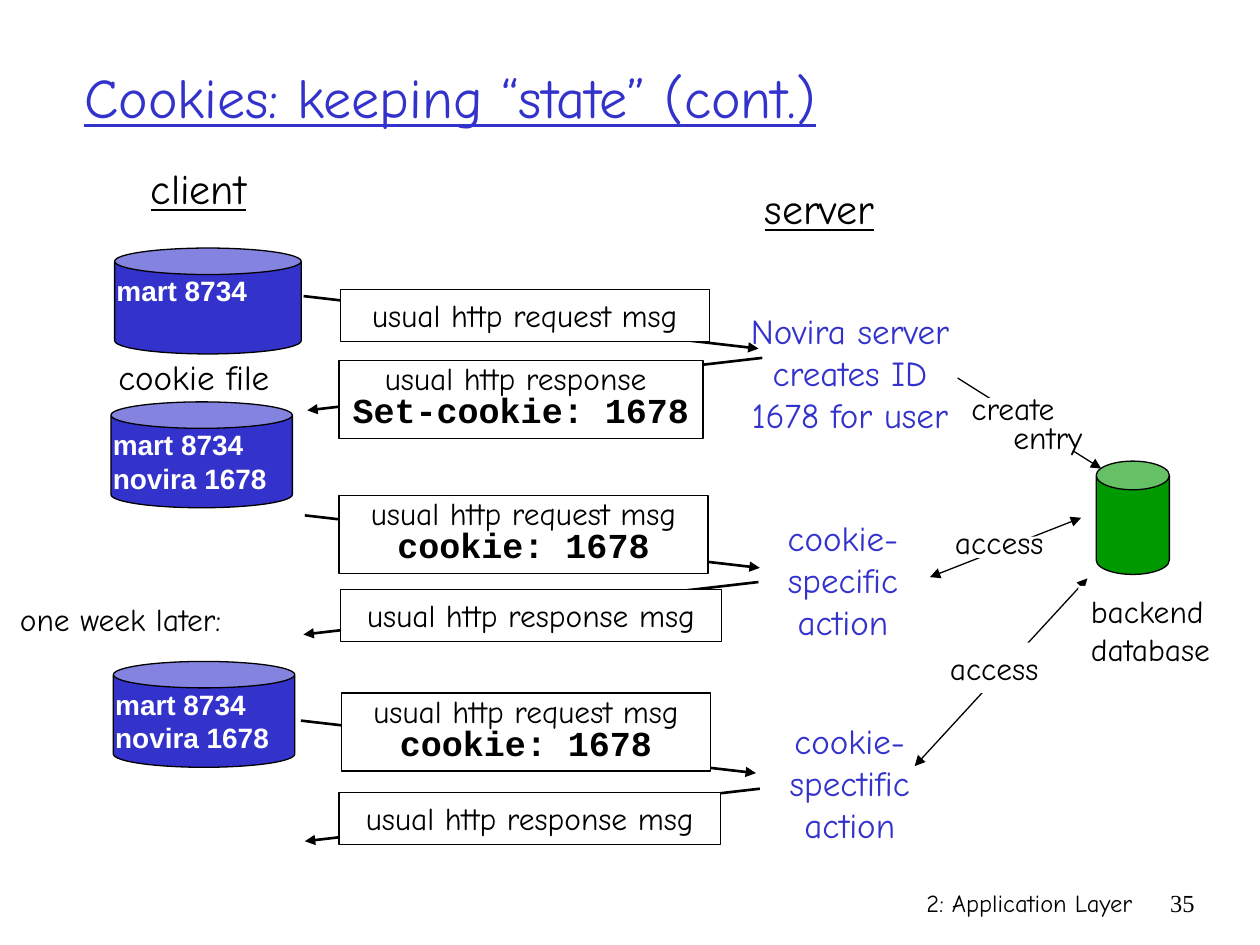
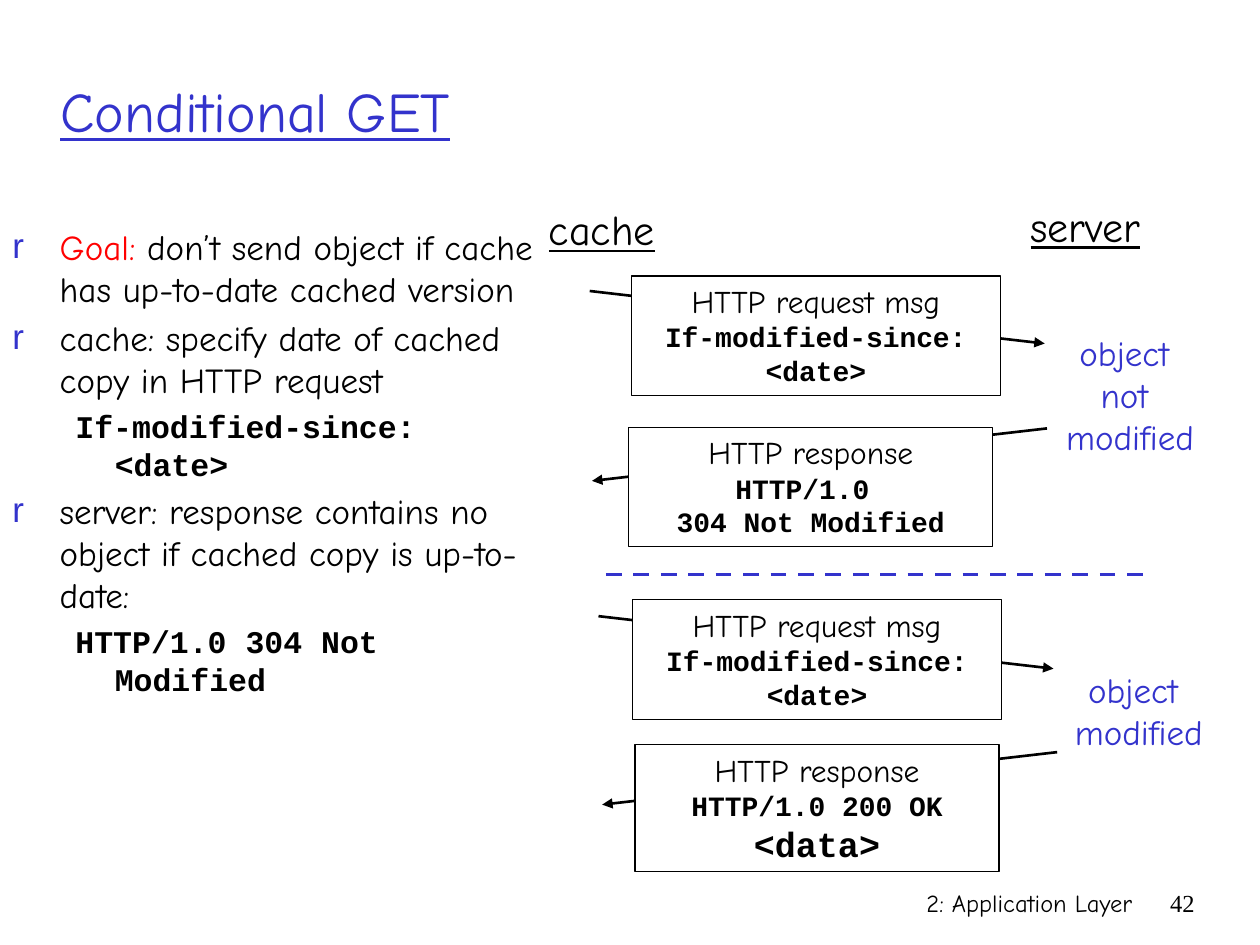
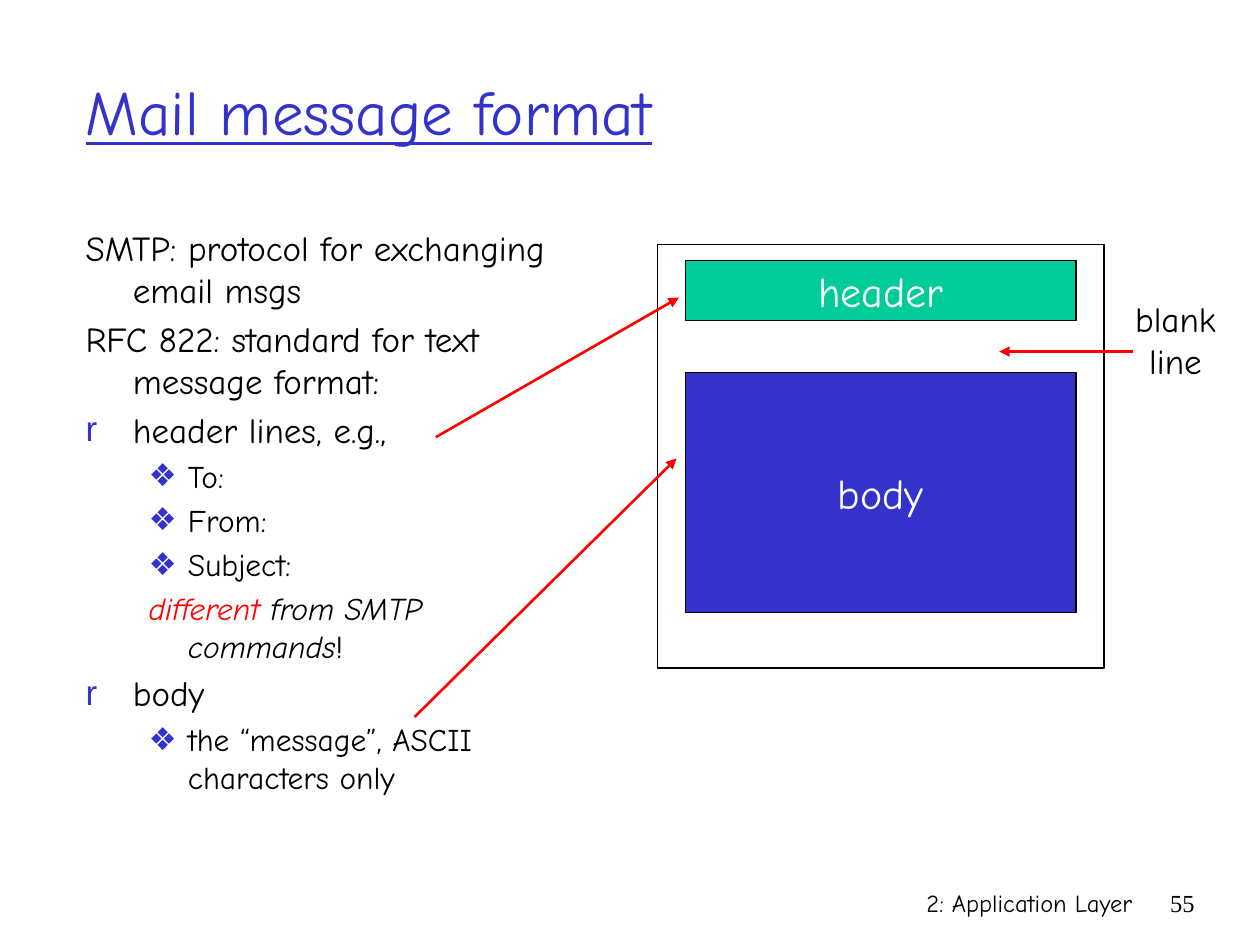
from lxml import etree
from pptx import Presentation
from pptx import util as u
from pptx.dml.color import RGBColor
from pptx.enum import dml, shapes, text
from pptx.oxml.ns import qn

BLUE = RGBColor(0x33, 0x33, 0xCC)
BLACK = RGBColor(0x00, 0x00, 0x00)
WHITE = RGBColor(0xFF, 0xFF, 0xFF)
RED = RGBColor(0xFF, 0x00, 0x00)
GREEN = RGBColor(0x00, 0x99, 0x00)
TEAL = RGBColor(0x00, 0xCC, 0x99)

RECT = shapes.MSO_SHAPE.RECTANGLE
CAN = shapes.MSO_SHAPE.CAN
LEFT, CENTER, RIGHT = text.PP_ALIGN.LEFT, text.PP_ALIGN.CENTER, text.PP_ALIGN.RIGHT
TOP, MIDDLE = text.MSO_ANCHOR.TOP, text.MSO_ANCHOR.MIDDLE

DEFAULTS = dict(size=18, font="Comic Neue", color=BLACK, bold=False, italic=False,
                underline=False, align=LEFT, spacing=None, before=0, indent=None, bullet=None)
CODE = dict(font="Courier New", bold=True)
POINT = dict(indent=(27, -27), before=4, size=20)
SUBPOINT = dict(indent=(58.5, -22.5), before=3.6, size=18)
BULLET = dict(POINT, bullet="r")
SUBBULLET = dict(SUBPOINT, bullet="❖")
MESSAGE = dict(kind=RECT, fill=WHITE, border=BLACK, align=CENTER)
ACTION = dict(size=20, color=BLUE, align=CENTER)
HEADING = dict(size=24, underline=True, align=CENTER)
REACH, DROP = 260, 30


def write(slide, paragraphs, box, kind=None, fill=None, border=None, weight=0.75,
          anchor=TOP, adjust=None, **style):
    box = [u.Pt(length) for length in box]
    if kind is None:
        part = slide.shapes.add_textbox(*box)
    else:
        part = slide.shapes.add_shape(kind, *box)
        part.shadow.inherit = False
        if adjust:
            part.adjustments[0] = adjust
    if fill is None:
        part.fill.background()
    else:
        part.fill.solid()
        part.fill.fore_color.rgb = fill
    if border is None:
        part.line.fill.background()
    else:
        part.line.color.rgb = border
        part.line.width = u.Pt(weight)
    frame = part.text_frame
    frame.word_wrap = True
    frame.vertical_anchor = anchor
    for i, runs in enumerate(paragraphs):
        runs = [(runs, {})] if isinstance(runs, str) else runs
        paragraph = frame.add_paragraph() if i else frame.paragraphs[0]
        look = {**DEFAULTS, **style, **runs[0][1]}
        paragraph.alignment = look["align"]
        paragraph.space_before = u.Pt(look["before"] if i else 0)
        if look["spacing"]:
            paragraph.line_spacing = look["spacing"]
        properties = paragraph._p.get_or_add_pPr()
        if look["indent"]:
            for name, length in zip(("marL", "indent"), look["indent"]):
                properties.set(name, str(u.Pt(length)))
        if look["bullet"]:
            bullet_color = etree.SubElement(properties, qn("a:buClr"))
            etree.SubElement(bullet_color, qn("a:srgbClr"), val=str(BLUE))
            etree.SubElement(properties, qn("a:buFont"), typeface="Arial")
            etree.SubElement(properties, qn("a:buChar"), char=look["bullet"])
        for words, changes in runs:
            look = {**DEFAULTS, **style, **changes}
            run = paragraph.add_run()
            run.text = words
            run.font.name = look["font"]
            run.font.size = u.Pt(look["size"])
            run.font.bold = look["bold"]
            run.font.italic = look["italic"]
            run.font.underline = look["underline"]
            run.font.color.rgb = look["color"]


def connect(slide, start, end, color=BLACK, weight=1.5, dash=None, heads=("tailEnd",)):
    ends = [u.Pt(length) for length in (*start, *end)]
    link = slide.shapes.add_connector(shapes.MSO_CONNECTOR.STRAIGHT, *ends)
    link.line.color.rgb = color
    link.line.width = u.Pt(weight)
    if dash:
        link.line.dash_style = dash
    properties = link.element.spPr
    for head in heads:
        etree.SubElement(properties.find(qn("a:ln")), qn("a:" + head), type="triangle")
    etree.SubElement(properties, qn("a:effectLst"))


deck = Presentation()
deck.slide_width, deck.slide_height = u.Pt(720), u.Pt(540)

titles = [
    ("Cookies: keeping “state” (cont.)", "35", (41, 10, 612, 90), 32),
    ("Conditional GET", "42", (27.4, 18, 627, 90), 32),
    ("Mail message format", "55", (41.8, 18, 612, 90), 36),
]
for title, number, box, size in titles:
    slide = deck.slides.add_slide(deck.slide_layouts[6])
    write(slide, ["2: Application Layer"], (426.2, 504, 228, 36), size=14, align=RIGHT)
    write(slide, [number], (653.8, 504, 36, 36), size=14, font="Times New Roman", align=RIGHT)
    write(slide, [title], box, size=size, color=BLUE, underline=True, anchor=MIDDLE)
cookies, conditional_get, mail = deck.slides

write(cookies, ["client"], (74.9, 89.3, 77, 36), **HEADING)
write(cookies, ["server"], (424.8, 100.8, 87, 36), **HEADING)

request, response = "usual http request msg", "usual http response msg"
cookie_line = [("cookie: 1678", dict(CODE, size=20))]
set_cookie_line = [("Set-cookie: 1678 ", dict(CODE, size=20))]
exchanges = [
    (173.5, 169.2, 1, (194.4, 165.6, 211, 29.5), [request]),
    (435.6, 204.5, -1, (193.7, 205.9, 208, 44.6), ["usual http response ", set_cookie_line]),
    (174.2, 294.5, 1, (193.7, 283, 211, 44.6), [request, cookie_line]),
    (433.4, 332.6, -1, (194.4, 337, 218, 29.5), [response]),
    (172, 411.8, 1, (195.1, 396, 211, 44.6), [request, cookie_line]),
    (434.2, 450.7, -1, (193.7, 452.9, 218, 29.5), [response]),
]
for x, y, way, box, lines in exchanges:
    connect(cookies, (x, y), (x + way * REACH, y + DROP))
    write(cookies, lines, box, spacing=0.8 if len(lines) > 1 else None, **MESSAGE)

cookie_files = [
    (65.5, 141.8, 106.6, ["mart 8734"]),
    (63.4, 229.7, 103.7, ["mart 8734", "novira 1678"]),
    (64.8, 378, 103.7, ["mart 8734", "novira 1678"]),
]
for x, y, width, entries in cookie_files:
    write(cookies, [], (x, y, width, 60.5), kind=CAN, adjust=0.25, fill=BLUE, border=BLACK)
    write(cookies, entries, (x - 6, y + 11.2, 125, 45.4),
          size=16, font="Arial", bold=True, color=WHITE)
write(cookies, ["cookie file"], (60.5, 199.4, 140, 31), size=20)
write(cookies, ["one week later:"], (4.3, 339.1, 142.6, 28.8))

server_actions = [
    (["Novira server", "creates ID", "1678 for user"], (409, 173.5, 153.4, 79.2)),
    (["cookie-", "specific", "action"], (437.8, 291.6, 87.8, 79.2)),
    (["cookie-", "spectific", "action"], (437, 407.5, 97.2, 79.2)),
]
for lines, box in server_actions:
    write(cookies, lines, box, **ACTION)

write(cookies, [], (626.4, 263.5, 41.8, 64.8), kind=CAN, adjust=0.392, fill=GREEN, border=BLACK)
connect(cookies, (547.2, 216), (629.3, 267.8), weight=0.75)
write(cookies, [], (558.7, 227.5, 74.9, 30.2), kind=RECT, fill=WHITE)
write(cookies, ["create", [("entry", dict(indent=(24, 0)))]], (548, 224, 92, 39.6), spacing=0.75)
both_heads = ("headEnd", "tailEnd")
connect(cookies, (531.4, 329.8), (617.8, 295.9), weight=0.75, heads=both_heads)
write(cookies, [], (550.8, 306.7, 47.5, 12.2), kind=RECT, fill=WHITE)
write(cookies, ["access"], (538.6, 295.2, 69.8, 28.8))
connect(cookies, (522.7, 437.8), (621.4, 330.5), weight=0.75, heads=both_heads)
write(cookies, ["access"], (535.7, 367.2, 69.8, 28.8), kind=RECT, fill=WHITE)
write(cookies, ["backend", "database"], (616.3, 334.8, 90.7, 50.4), kind=RECT, fill=WHITE)

write(conditional_get, [
    [("Goal:", dict(BULLET, color=RED)),
     (" don’t send object if cache has up-to-date cached version", BULLET)],
    [("cache: specify date of cached copy in HTTP request", BULLET)],
    [("If-modified-since: <date>", {**SUBPOINT, **CODE})],
    [("server: response contains no object if cached copy is up-to-date:", BULLET)],
    [("HTTP/1.0 304 Not Modified", {**SUBPOINT, **CODE})],
], (0, 125.3, 318.2, 339))
write(conditional_get, ["cache"], (304.6, 113, 78.5, 36), **HEADING)
write(conditional_get, ["server"], (576.7, 110.9, 87, 36), **HEADING)

code_line = dict(CODE, size=16)
dated_request = ["HTTP request msg", [("If-modified-since: <date>", code_line)]]
not_modified = ["HTTP response", [("HTTP/1.0 ", code_line)], [("304 Not Modified", code_line)]]
modified = ["HTTP response", [("HTTP/1.0 200 OK", code_line)], [("<data>", dict(CODE, size=20))]]
cache_exchanges = [
    (337, 166.3, 1, (360.7, 157.7, 211, 68.4), dated_request),
    (598.3, 244.8, -1, (359.3, 244.1, 208, 68.4), not_modified),
    (342, 352.1, 1, (361.4, 342.7, 211, 68.4), dated_request),
    (604.1, 429.8, -1, (362.9, 425.5, 208, 72.7), modified),
]
for x, y, way, box, lines in cache_exchanges:
    connect(conditional_get, (x, y), (x + way * REACH, y + DROP))
    write(conditional_get, lines, box, **MESSAGE)
connect(conditional_get, (346.3, 328.3), (653.8, 328.3), color=BLUE, weight=2.25,
        dash=dml.MSO_LINE.DASH, heads=())
write(conditional_get, ["object ", "not ", "modified"], (597.6, 185.8, 96.5, 79.2), **ACTION)
write(conditional_get, ["object ", "modified"], (602.6, 378.7, 96.5, 55.4), **ACTION)

write(mail, [
    [("SMTP: protocol for exchanging email msgs", POINT)],
    [("RFC 822: standard for text message format:", POINT)],
    [("header lines, e.g.,", BULLET)],
    *[[(field, SUBBULLET)] for field in ("To:", "From:", "Subject:")],
    [("different ", dict(SUBPOINT, color=RED, italic=True)),
     ("from SMTP commands", dict(SUBPOINT, italic=True)), ("!", SUBPOINT)],
    [("body", BULLET)],
    [("the “message”, ASCII characters only", SUBBULLET)],
], (41.8, 126, 300.2, 365.8))
for label, y, height, fill in (("header", 149, 34, TEAL), ("body", 213, 137, BLUE)):
    write(mail, [label], (391.7, y, 223.2, height), kind=RECT, fill=fill, border=BLACK,
          anchor=MIDDLE, size=24, color=WHITE, align=CENTER)
write(mail, [], (375.8, 139.7, 255, 242), kind=RECT, border=BLACK, weight=1)
write(mail, ["blank", "line"], (640, 166.3, 63.4, 55.4), size=20, align=CENTER)
pointers = [
    ((249.1, 249.8), (388, 170)),
    ((236.9, 409.7), (386.6, 262)),
    ((647.3, 200.9), (571, 200.9)),
]
for start, end in pointers:
    connect(mail, start, end, color=RED)

deck.save("out.pptx")
